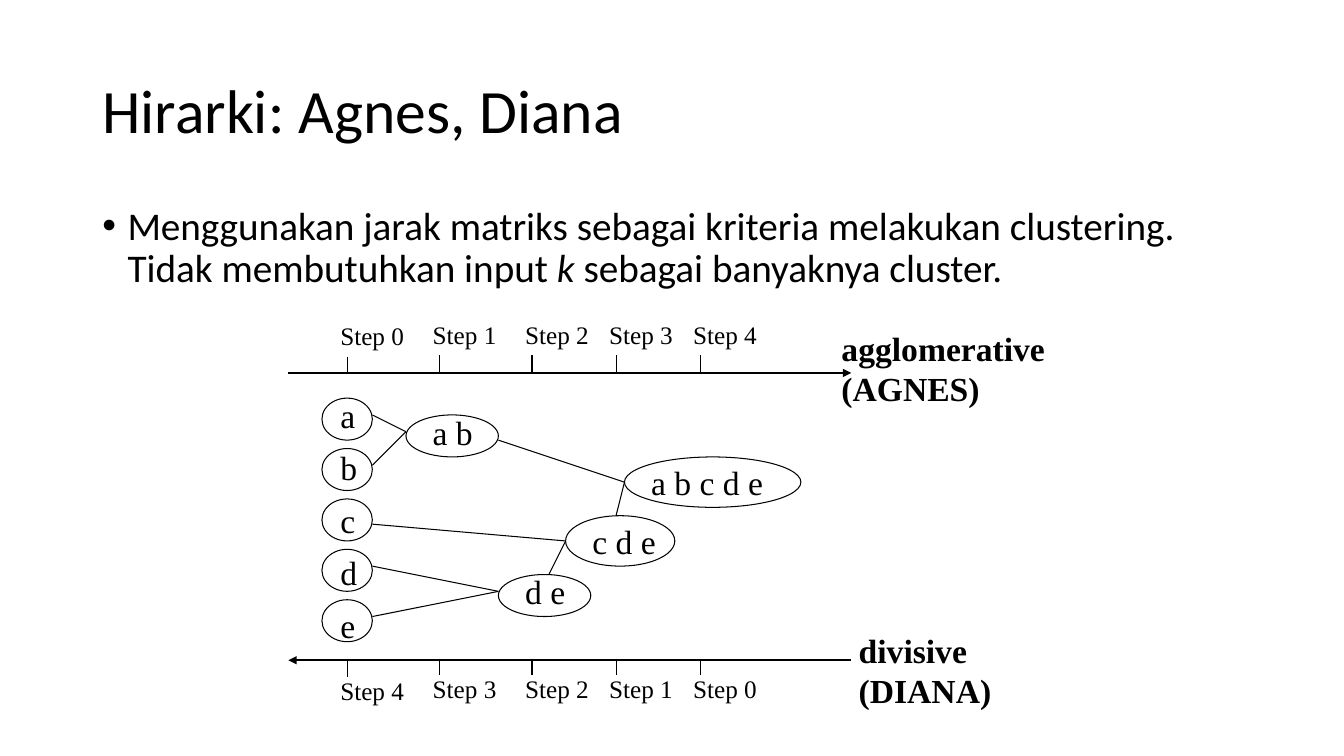
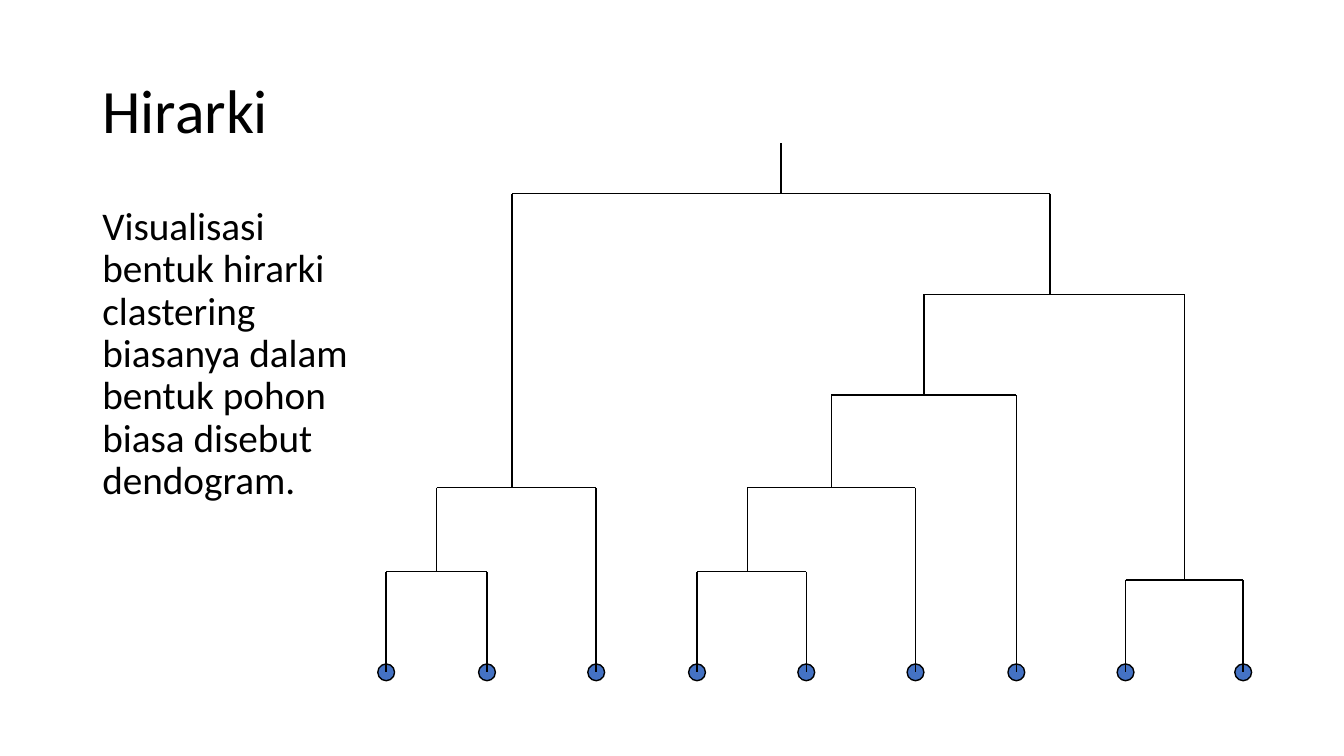
from dataclasses import dataclass
from typing import NamedTuple, Optional, Union

from lxml.etree import SubElement
from pptx import Presentation
from pptx.dml.color import RGBColor
from pptx.enum.shapes import MSO_CONNECTOR, MSO_SHAPE
from pptx.enum.text import MSO_ANCHOR
from pptx.oxml.ns import qn
from pptx.util import Inches, Pt

COLORS = {"ink": "000000", "leaf": "4472C4"}
SANS = "Calibri"
SERIF = "Times New Roman"
UNITS_PER_INCH = 12


class Area(NamedTuple):
    column: float
    row: float
    columns: float
    rows: float


class Span(NamedTuple):
    text: str
    italic: bool = False


class Style(NamedTuple):
    font: str
    size: float
    bold: bool = False
    line_spacing: Optional[float] = None
    space_before: float = 0
    bullet: bool = False
    wrap: bool = True
    anchor: MSO_ANCHOR = MSO_ANCHOR.TOP


class Cluster(NamedTuple):
    text: str
    oval: Area
    label: Area


class Link(NamedTuple):
    start_column: float
    start_row: float
    end_column: float
    end_row: float


class Axis(NamedTuple):
    row: float
    tick_row: float
    label_row: float
    steps: range
    arrow_end: str
    caption: tuple[str, str]
    caption_area: Area


class Leaf(NamedTuple):
    column: int
    row: int = 0


class Merge(NamedTuple):
    row: int
    left: "Node"
    right: "Node"

    @property
    def column(self) -> int:
        return (self.left.column + self.right.column) // 2


Node = Union[Leaf, Merge]

TITLE = Style(SANS, 44, line_spacing=0.9, anchor=MSO_ANCHOR.MIDDLE)
BODY = Style(SANS, 28, line_spacing=0.9, space_before=10)
BULLET = BODY._replace(bullet=True)
STEP = Style(SERIF, 18, wrap=False)
CLUSTER = Style(SERIF, 24, wrap=False)
CAPTION = CLUSTER._replace(bold=True)

TITLE_AREA = Area(11, 4.8, 138, 17.4)
TICK_COLUMNS = (7, 18, 29, 39, 49)
AXIS_COLUMNS = 67

AXES = (
    Axis(0, -2.1, -7, range(5), "tailEnd",
         ("agglomerative", "(AGNES)"), Area(64.65, -6, 26.6, 10.8)),
    Axis(34.2, 34, 35.2, range(4, -1, -1), "headEnd",
         ("divisive", "(DIANA)"), Area(66.7, 30, 18.2, 10.8)),
)
SINGLES = tuple(
    Cluster(letter, Area(4, 3 + 6 * index, 6, 5), Area(5, 2 + 6.25 * index, 4.3, 6))
    for index, letter in enumerate("abcde")
)
MERGED = (
    Cluster("a b", Area(14, 5, 11, 5), Area(16, 4, 7.2, 6)),
    Cluster("d e", Area(25, 24, 11, 5), Area(27, 23, 7.2, 6)),
    Cluster("c d e", Area(33, 17, 13, 6), Area(35, 17, 10, 6)),
    Cluster("a b c d e", Area(40, 10, 21, 6), Area(42, 10, 15.7, 6)),
)
LINKS = (
    Link(10, 5, 14, 7), Link(10, 11, 14, 7),
    Link(10, 23, 25, 26), Link(10, 29, 25, 26),
    Link(10, 18, 33, 20), Link(31, 24, 33, 20),
    Link(25, 8, 40, 13), Link(39, 17, 40, 13),
)
TREE = Merge(
    57,
    Merge(22, Merge(12, Leaf(0), Leaf(12)), Leaf(25)),
    Merge(
        45,
        Merge(33, Merge(22, Merge(12, Leaf(37), Leaf(50)), Leaf(63)), Leaf(75)),
        Merge(11, Leaf(88), Leaf(102)),
    ),
)


@dataclass(frozen=True)
class Grid:
    page: object
    left: float = 0
    top: float = 0
    upward: bool = False

    def x(self, column: float) -> int:
        return Inches(self.left + column / UNITS_PER_INCH)

    def y(self, row: float) -> int:
        offset = row / UNITS_PER_INCH
        return Inches(self.top - offset if self.upward else self.top + offset)

    def frame(self, area: Area) -> tuple[int, int, int, int]:
        return (self.x(area.column), self.y(area.row),
                Inches(area.columns / UNITS_PER_INCH),
                Inches(area.rows / UNITS_PER_INCH))


def color(name: str) -> RGBColor:
    return RGBColor.from_string(COLORS[name])


def add_text(grid: Grid, area: Area, style: Style, *lines: tuple[Span, ...]) -> None:
    box = grid.page.shapes.add_textbox(*grid.frame(area))
    frame = box.text_frame
    frame.word_wrap = style.wrap
    frame.vertical_anchor = style.anchor
    for index, spans in enumerate(lines):
        para = frame.add_paragraph() if index else frame.paragraphs[0]
        para.space_before = Pt(style.space_before)
        if style.line_spacing:
            para.line_spacing = style.line_spacing
        if style.bullet:
            add_bullet(para)
        for span in spans:
            run = para.add_run()
            run.text = span.text
            run.font.name = style.font
            run.font.size = Pt(style.size)
            run.font.bold = style.bold
            run.font.italic = span.italic
            run.font.color.rgb = color("ink")


def add_bullet(para) -> None:
    properties = para._p.get_or_add_pPr()
    properties.set("marL", str(Inches(0.25)))
    properties.set("indent", str(-Inches(0.25)))
    SubElement(properties, qn("a:buFont")).set("typeface", "Arial")
    SubElement(properties, qn("a:buChar")).set("char", "•")


def add_line(grid: Grid, link: Link, width: float, arrow_end: str = "") -> None:
    line = grid.page.shapes.add_connector(
        MSO_CONNECTOR.STRAIGHT,
        grid.x(link.start_column), grid.y(link.start_row),
        grid.x(link.end_column), grid.y(link.end_row),
    )
    line.line.color.rgb = color("ink")
    line.line.width = Pt(width)
    if arrow_end:
        SubElement(line.line._get_or_add_ln(), qn(f"a:{arrow_end}")).set("type", "triangle")
    SubElement(line._element.spPr, qn("a:effectLst"))


def add_oval(grid: Grid, area: Area, width: float, fill: str = "") -> None:
    oval = grid.page.shapes.add_shape(MSO_SHAPE.OVAL, *grid.frame(area))
    oval.shadow.inherit = False
    oval.line.color.rgb = color("ink")
    oval.line.width = Pt(width)
    if fill:
        oval.fill.solid()
        oval.fill.fore_color.rgb = color(fill)
    else:
        oval.fill.background()


def add_page(deck, title: str, body_columns: float, style: Style, *spans: Span):
    page = deck.slides.add_slide(deck.slide_layouts[6])
    grid = Grid(page)
    add_text(grid, TITLE_AREA, TITLE, (Span(title),))
    add_text(grid, Area(11, 24, body_columns, 57), style, spans)
    return page


def draw_axis(grid: Grid, axis: Axis) -> None:
    add_line(grid, Link(0, axis.row, AXIS_COLUMNS, axis.row), 1.5, axis.arrow_end)
    for index, (column, step) in enumerate(zip(TICK_COLUMNS, axis.steps)):
        drop = 0 if index else 0.15
        tick_row = axis.tick_row + drop
        add_line(grid, Link(column, tick_row, column, tick_row + 2), 0.75)
        add_text(grid, Area(column - 2, axis.label_row + drop, 10, 4.8), STEP,
                 (Span(f"Step {step}"),))
    add_text(grid, axis.caption_area, CAPTION, *((Span(line),) for line in axis.caption))


def draw_clusters(grid: Grid) -> None:
    for cluster in SINGLES + MERGED:
        add_text(grid, cluster.label, CLUSTER, (Span(cluster.text),))
        add_oval(grid, cluster.oval, 0.75)
    for link in LINKS:
        add_line(grid, link, 0.75)


def draw_node(grid: Grid, node: Node, parent_row: int) -> None:
    if isinstance(node, Leaf):
        add_oval(grid, Area(node.column - 1, node.row + 1, 2, 2), 1, "leaf")
    else:
        add_line(grid, Link(node.left.column, node.row, node.right.column, node.row), 1)
        for child in (node.left, node.right):
            draw_node(grid, child, node.row)
    add_line(grid, Link(node.column, parent_row, node.column, node.row), 1)


def main() -> None:
    deck = Presentation()
    deck.slide_width, deck.slide_height = Inches(13.33), Inches(7.5)

    methods = add_page(
        deck, "Hirarki: Agnes, Diana", 138, BULLET,
        Span("Menggunakan jarak matriks sebagai kriteria melakukan clustering. "
             "Tidak membutuhkan input "),
        Span("k ", italic=True),
        Span("sebagai banyaknya cluster."),
    )
    steps = Grid(methods, 2.86, 3.7)
    for axis in AXES:
        draw_axis(steps, axis)
    draw_clusters(steps)

    dendrogram = add_page(
        deck, "Hirarki", 32, BODY,
        Span("Visualisasi bentuk hirarki clastering biasanya dalam bentuk pohon "
             "biasa disebut dendogram."),
    )
    draw_node(Grid(dendrogram, 3.83, 6.67, upward=True), TREE, 63)

    deck.save("out.pptx")


if __name__ == "__main__":
    main()
